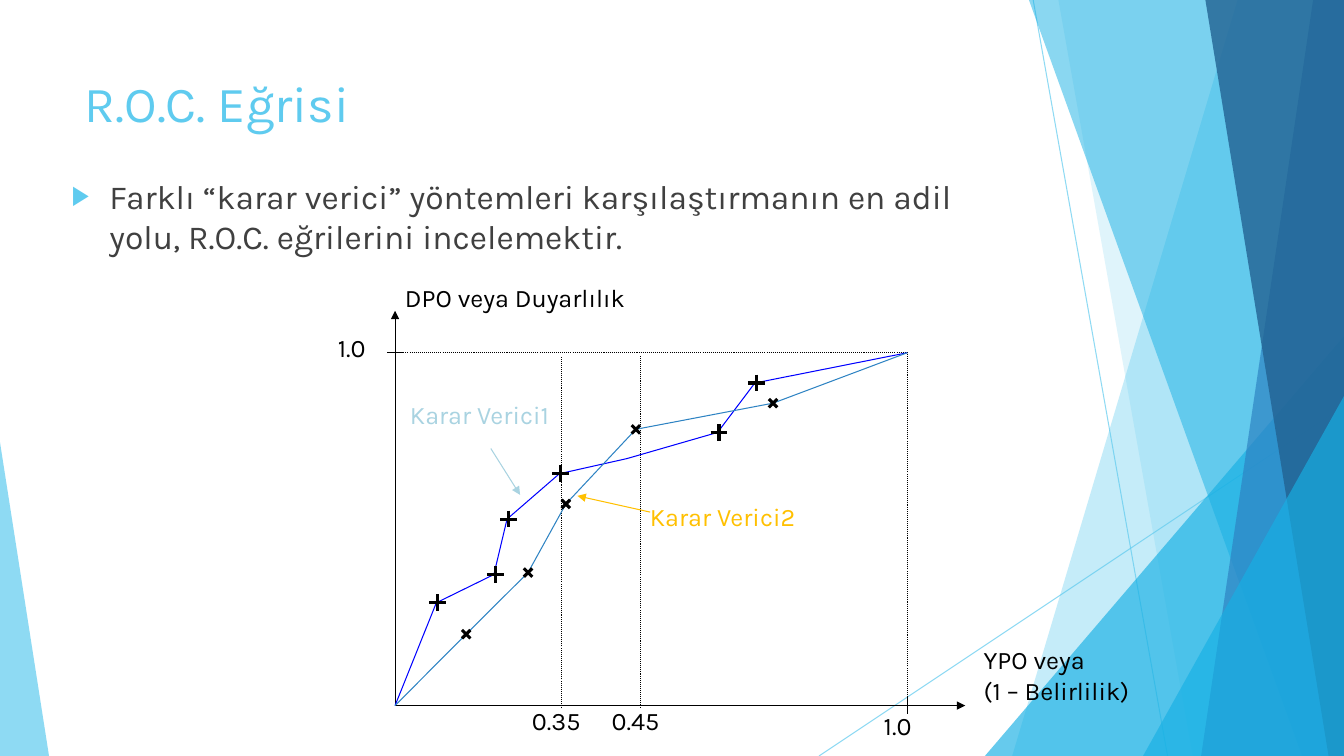
from lxml import etree
from pptx import Presentation
from pptx.dml.color import RGBColor
from pptx.enum.dml import MSO_LINE
from pptx.enum.shapes import MSO_CONNECTOR, MSO_SHAPE
from pptx.enum.text import MSO_ANCHOR, MSO_AUTO_SIZE, PP_ALIGN
from pptx.oxml.ns import qn
from pptx.util import Pt

STRAIGHT = MSO_CONNECTOR.STRAIGHT
TRIANGLE = MSO_SHAPE.ISOSCELES_TRIANGLE
DOTS = MSO_LINE.ROUND_DOT
TOP = MSO_ANCHOR.TOP
FIXED = MSO_AUTO_SIZE.NONE
GROW = MSO_AUTO_SIZE.SHAPE_TO_FIT_TEXT
LEFT = PP_ALIGN.LEFT

SKY = RGBColor(0x5F, 0xCB, 0xEF)
CYAN = RGBColor(0x17, 0xB0, 0xE4)
BLUE = RGBColor(0x2E, 0x83, 0xC3)
NAVY = RGBColor(0x22, 0x62, 0x92)
PURE = RGBColor(0x00, 0x00, 0xFF)
PALE = RGBColor(0xA9, 0xD3, 0xE1)
GOLD = RGBColor(0xFF, 0xC0, 0x00)
GRAY = RGBColor(0x40, 0x40, 0x40)
BLACK = RGBColor(0, 0, 0)
FACE = "Karla"


def add_tag(parent, tag, **values):
    return etree.SubElement(parent, qn(tag), values)


def fade(shape, share):
    color = next(shape._element.spPr.iter(qn("a:srgbClr")))
    add_tag(color, "a:alpha", val=str(share * 1000))


def draw_line(slide, start, end, color=BLACK, width=0.75, dash=None, arrow=False):
    ends = [Pt(value) for value in (*start, *end)]
    line = slide.shapes.add_connector(STRAIGHT, *ends)
    line.line.color.rgb = color
    line.line.width = Pt(width)
    if dash:
        line.line.dash_style = dash
    if arrow:
        add_tag(line.line._get_or_add_ln(), "a:tailEnd", type="triangle")
    add_tag(line._element.spPr, "a:effectLst")
    return line


def draw_path(slide, points, close):
    spots = [(Pt(x), Pt(y)) for x, y in points]
    pen = slide.shapes.build_freeform(*spots[0], scale=1.0)
    pen.add_line_segments(spots[1:], close=close)
    shape = pen.convert_to_shape()
    shape.shadow.inherit = False
    return shape


def paint(shape, color, share):
    shape.fill.solid()
    shape.fill.fore_color.rgb = color
    shape.line.fill.background()
    shape.shadow.inherit = False
    fade(shape, share)


def style(para, size, color):
    para.alignment = LEFT
    para.font.name = FACE
    para.font.size = Pt(size)
    para.font.color.rgb = color


def set_box(shape, box):
    shape.left, shape.top, shape.width, shape.height = map(Pt, box)


def add_decor(slide, box):
    left, top, wide, high = box
    right, base = left + wide, top + high

    def add_band(upper, lower, color, share):
        points = [(left + upper, top), (right, top), (right, base), (left + lower, base)]
        paint(draw_path(slide, points, True), color, share)

    def add_wedge(x, y, width, tip, color, share):
        area = map(Pt, (left + x, top + y, width, high - y))
        shape = slide.shapes.add_shape(TRIANGLE, *area)
        shape.adjustments[0] = tip
        paint(shape, color, share)

    for start, end in (((738, 0), (834, 540)), ((960, 290), (585, 540))):
        line = draw_line(slide, (left + start[0], top + start[1]),
                         (left + end[0], top + end[1]), SKY)
        fade(line, 70)
    add_band(884, 723, SKY, 36)
    add_band(756, 852, SKY, 20)
    add_wedge(703.5, 240, 256.5, 1, CYAN, 66)
    add_band(735, 930, CYAN, 50)
    add_band(938, 858, BLUE, 70)
    add_band(861, 949, NAVY, 80)
    add_wedge(816.5, 283, 143.5, 1, CYAN, 66)
    add_wedge(0, 316, 35, 0, SKY, 70)


def fill_title(slide, box):
    title = slide.shapes.title
    set_box(title, box)
    frame = title.text_frame
    frame.text = "R.O.C. Eğrisi"
    frame.vertical_anchor = TOP
    frame.auto_size = FIXED
    style(frame.paragraphs[0], 36, SKY)


def fill_body(slide, box):
    body = slide.placeholders[1]
    set_box(body, box)
    frame = body.text_frame
    frame.text = ("Farklı “karar verici” yöntemleri karşılaştırmanın en adil yolu, "
                  "R.O.C. eğrilerini incelemektir.")
    frame.vertical_anchor = TOP
    frame.auto_size = FIXED
    para = frame.paragraphs[0]
    para.space_before = Pt(0)
    props = para._p.get_or_add_pPr()
    props.set("marL", str(Pt(27)))
    props.set("indent", str(Pt(-27)))
    add_tag(add_tag(props, "a:buClr"), "a:srgbClr", val=str(SKY))
    add_tag(props, "a:buSzPct", val="80000")
    add_tag(props, "a:buChar", char="▶")
    style(para, 24, GRAY)


def add_plot(slide, box):
    left, top, wide, high = box

    def spot(x, y):
        return left + x, top + y

    def rule(start, end, **look):
        draw_line(slide, spot(*start), spot(*end), **look)

    def add_label(text, x, y, width, height=29, color=BLACK):
        area = map(Pt, (*spot(x, y), width, height))
        frame = slide.shapes.add_textbox(*area).text_frame
        frame.text = text
        frame.word_wrap = False
        frame.auto_size = GROW
        for para in frame.paragraphs:
            style(para, 18, color)

    def add_curve(points, color):
        path = draw_path(slide, [spot(*point) for point in points], False)
        path.fill.background()
        path.line.color.rgb = color
        path.line.width = Pt(0.75)

    rule((0, high), (wide + 41.5, high), arrow=True)
    rule((0, high), (0, -30), arrow=True)
    rule((6, 0), (-6, 0))
    rule((wide, high + 6), (wide, high - 6))
    rule((0, 0), (wide, 0), dash=DOTS)
    for x, shift in ((wide, -1.4), (118.8, 2), (175, 1.4)):
        rule((x, high + shift), (x, shift), dash=DOTS)

    first = [(0, high), (29.5, 178.6), (70.6, 158.4), (80, 118.8), (117.4, 86.4),
             (165.6, 75.6), (230.4, 56.9), (257, 21.6), (wide, 0)]
    second = [(0, high), (50.8, 201), (95, 157), (122, 108), (172, 54.7),
              (270, 36), (wide, 0)]
    add_curve(first, PURE)
    for x, y in first[1:5] + first[6:-1]:
        x += 1
        rule((x, y - 6), (x, y + 6), width=2.25)
        rule((x - 6, y), (x + 6, y), width=2.25)
    add_curve(second, BLUE)
    for x, y in second[1:-1]:
        for rise in (3, -3):
            rule((x - 3, y - rise), (x + 3, y + rise), width=2.25)

    rule((68.4, 68.4), (89.3, 101.5), color=PALE, arrow=True)
    rule((182.2, 113.8), (130.3, 102.2), color=GOLD, arrow=True)
    add_label("1.0", -48, -18, 40.3)
    add_label("1.0", 342, high, 40.3)
    add_label("0.35", 90.7, high - 3.6, 49.7)
    add_label("0.45", 147.6, high - 3.6, 49.7)
    add_label("DPO veya Duyarlılık", 0, -54, 178.6)
    add_label("YPO veya\n(1 – Belirlilik)", 413.3, 205, 123, 51)
    add_label("Karar Verici1", 3.6, 29.5, 119.5, color=PALE)
    add_label("Karar Verici2", 175, 102.2, 119.5, color=GOLD)


def main():
    deck = Presentation()
    deck.slide_width, deck.slide_height = Pt(960), Pt(540)
    slide = deck.slides.add_slide(deck.slide_layouts[1])
    add_decor(slide, (0, 0, 960, 540))
    fill_title(slide, (53.3, 48.2, 676.8, 103.7))
    fill_body(slide, (43.9, 121.7, 686.9, 339.1))
    add_plot(slide, (282.2, 252, 365.8, 252))
    deck.save("out.pptx")


if __name__ == "__main__":
    main()
